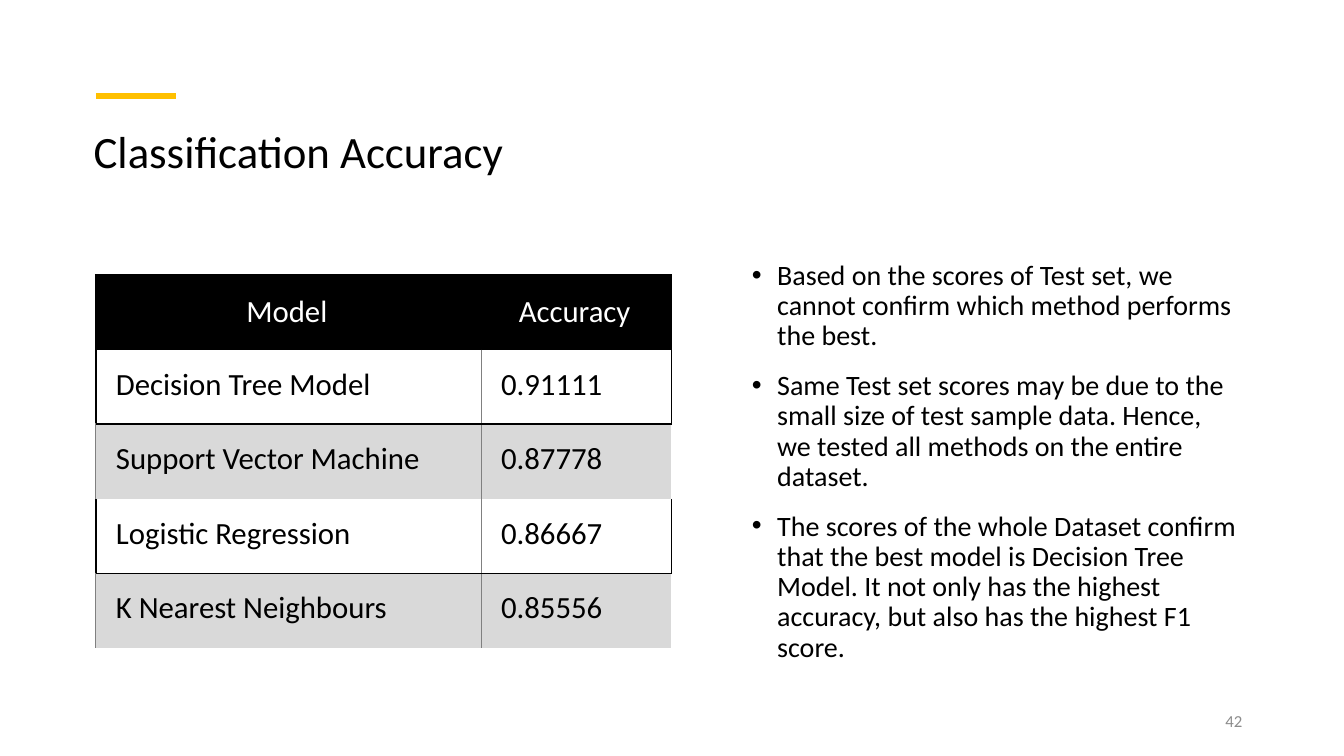
from pptx import Presentation
from pptx import util as u
from pptx.dml.color import RGBColor
from pptx.enum import shapes, text
from pptx.oxml.ns import qn
from lxml import etree

PX = 9144
BLACK, GREY, WHITE, BAND = "000000", "808080", "FFFFFF", "D9D9D9"
THICK, THIN = (BLACK, 1.5), (GREY, 0.5)
ROWS = [
    ("Model", "Accuracy"),
    ("Decision Tree Model", "0.91111"),
    ("Support Vector Machine", "0.87778"),
    ("Logistic Regression", "0.86667"),
    ("K Nearest Neighbours", "0.85556"),
]
FINDINGS = [
    "Based on the scores of Test set, we cannot confirm which method performs the best.",
    "Same Test set scores may be due to the small size of test sample data. "
    "Hence, we tested all methods on the entire dataset.",
    "The scores of the whole Dataset confirm that the best model is Decision Tree Model. "
    "It not only has the highest accuracy, but also has the highest F1 score.",
]


def px(n):
    return u.Emu(n * PX)


def color(value):
    return RGBColor.from_string(value)


def add_bullet(p, indent):
    pPr = p._p.get_or_add_pPr()
    pPr.set("marL", str(px(indent)))
    pPr.set("indent", str(-px(indent)))
    etree.SubElement(pPr, qn("a:buFont"), typeface="Arial")
    etree.SubElement(pPr, qn("a:buChar"), char="•")


def write(p, content, size=20, fill=BLACK, align=text.PP_ALIGN.LEFT,
          spacing=None, before=None, bullet=None):
    if bullet:
        add_bullet(p, bullet)
    p.alignment = align
    p.line_spacing = spacing
    if before:
        p.space_before = u.Pt(before)
    r = p.add_run()
    r.text = content
    r.font.name = "Calibri"
    r.font.size = u.Pt(size)
    r.font.color.rgb = color(fill)


def text_frame(s, x, y, w, h, anchor=text.MSO_ANCHOR.TOP):
    tf = s.shapes.add_textbox(px(x), px(y), px(w), px(h)).text_frame
    tf.word_wrap = True
    tf.vertical_anchor = anchor
    return tf


def add_heading(s, x, y, w, h):
    rule = s.shapes.add_connector(
        shapes.MSO_CONNECTOR.STRAIGHT, px(x + 12), px(y), px(x + 92), px(y))
    rule.line.color.rgb = color("FFC000")
    rule.line.width = u.Pt(4.5)
    etree.SubElement(rule._element.spPr, qn("a:effectLst"))
    tf = text_frame(s, x, y + 29, w, h - 29)
    write(tf.paragraphs[0], "Classification Accuracy", size=32, spacing=0.9)


def set_borders(cell, borders):
    tcPr = cell._tc.get_or_add_tcPr()
    for i, side in enumerate("LRTB"):
        ln = etree.Element(qn(f"a:ln{side}"))
        if side in borders:
            value, width = borders[side]
            ln.set("w", str(u.Pt(width)))
            solid = etree.SubElement(ln, qn("a:solidFill"))
            etree.SubElement(solid, qn("a:srgbClr"), val=value)
        else:
            etree.SubElement(ln, qn("a:noFill"))
        tcPr.insert(i, ln)


def cell_borders(row, col):
    if row == 0:
        return {"L": THICK, "T": THICK, "R": THICK}
    if row % 2:
        return {"L": THIN if col else THICK, "R": THICK if col else THIN, "B": THICK}
    borders = {"L": THIN, "T": THICK}
    if col == 0:
        borders["R"] = THIN
    return borders


def fill_cell(cell, content, row, col):
    header = row == 0
    cell.margin_left = px(20)
    cell.margin_right = px(23 if header else 16)
    cell.margin_top = cell.margin_bottom = px(16)
    cell.vertical_anchor = text.MSO_ANCHOR.MIDDLE if header else text.MSO_ANCHOR.TOP
    if row % 2:
        cell.fill.background()
    else:
        cell.fill.solid()
        cell.fill.fore_color.rgb = color(BLACK if header else BAND)
    set_borders(cell, cell_borders(row, col))
    write(cell.text_frame.paragraphs[0], content, size=22,
          fill=WHITE if header else BLACK,
          align=text.PP_ALIGN.CENTER if header else text.PP_ALIGN.LEFT)


def add_scores(s, x, y, w, h):
    table = s.shapes.add_table(len(ROWS), 2, px(x), px(y), px(w), px(h)).table
    table.horz_banding = False
    table.columns[0].width = px(382)
    table.columns[1].width = px(w - 382)
    for row, values in enumerate(ROWS):
        table.rows[row].height = px(h // len(ROWS))
        for col, value in enumerate(values):
            fill_cell(table.cell(row, col), value, row, col)


def add_findings(s, x, y, w, h):
    tf = text_frame(s, x, y, w, h)
    for i, finding in enumerate(FINDINGS):
        p = tf.add_paragraph() if i else tf.paragraphs[0]
        write(p, finding, spacing=0.9, before=14 if i else None, bullet=25)


def add_page_number(s, x, y, w, h):
    tf = text_frame(s, x, y, w, h, anchor=text.MSO_ANCHOR.MIDDLE)
    write(tf.paragraphs[0], "42", size=12, fill="8C8C8C", align=text.PP_ALIGN.RIGHT)


def main():
    prs = Presentation()
    prs.slide_width, prs.slide_height = px(1333), px(750)
    s = prs.slides.add_slide(prs.slide_layouts[6])
    add_heading(s, 83, 95, 991, 144)
    add_findings(s, 736, 254, 500, 418)
    add_page_number(s, 942, 695, 300, 40)
    add_scores(s, 95, 273, 571, 370)
    prs.save("out.pptx")


if __name__ == "__main__":
    main()
